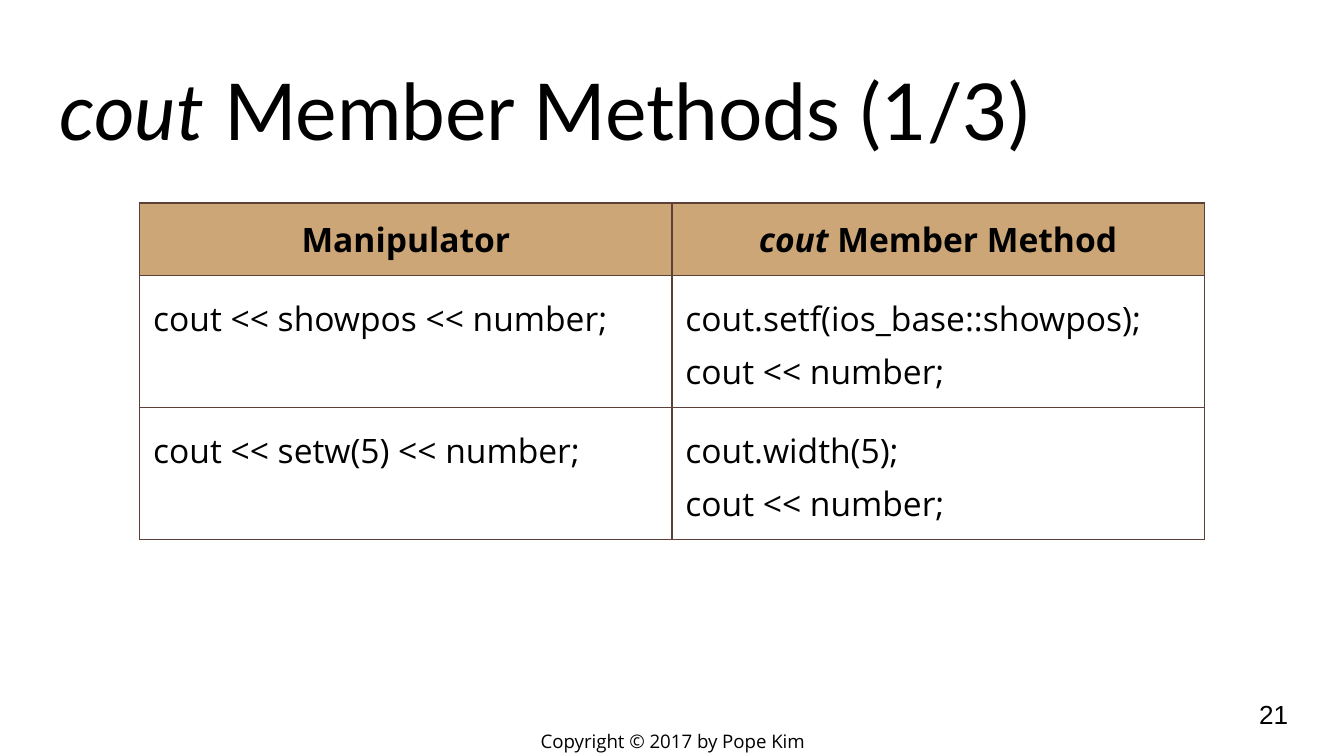
from lxml.etree import SubElement as Sub
from pptx import Presentation
from pptx.dml.color import RGBColor as Rgb
from pptx.enum.text import MSO_ANCHOR as Anchor, MSO_AUTO_SIZE as Fit, PP_ALIGN as Align
from pptx.oxml.ns import qn
from pptx.util import Inches, Pt

HUES = {"ink": "000000", "head": "CCA677", "edge": "5D4037"}
WIDE = 10
HIGH = WIDE * 9 / 16
PAD = Inches(0.1)
LEAD = "cout"
HEAD = ["Manipulator", " Member Method"]
ROWS = [
    ["cout << showpos << number;", "cout.setf(ios_base::showpos);\ncout << number;"],
    ["cout << setw(5) << number;", "cout.width(5);\ncout << number;"],
]


def pad(box):
    box.margin_left = box.margin_right = PAD
    box.margin_top = box.margin_bottom = PAD


def write(frame, text, font, size, align=Align.LEFT, lead="", bold=False, space=1.0):
    frame.text = lead or text
    if lead:
        frame.paragraphs[0].add_run().text = text
    for para in frame.paragraphs:
        para.alignment = align
        para.line_spacing = space
        for run in para.runs:
            face = run.font
            face.name, face.size, face.bold = font, Pt(size), bold
            face.italic = bool(lead) and run.text == lead
            face.color.rgb = Rgb.from_string(HUES["ink"])


def place(shape, left, top, width, height, anchor=Anchor.MIDDLE):
    shape.left, shape.top = Inches(left), Inches(top)
    shape.width, shape.height = Inches(width), Inches(height)
    frame = shape.text_frame
    frame.word_wrap = True
    frame.auto_size = Fit.NONE
    frame.vertical_anchor = anchor
    pad(frame)
    return frame


def label(slide, spot, text, font, size, align=Align.LEFT):
    shape = slide.shapes.add_textbox(0, 0, 0, 0)
    write(place(shape, *spot), text, font, size, align)


def edge(cell):
    props = cell._tc.get_or_add_tcPr()
    for spot, side in enumerate(("lnL", "lnR", "lnT", "lnB")):
        line = props.makeelement(qn(f"a:{side}"), {"w": str(Pt(0.75))})
        fill = Sub(line, qn("a:solidFill"))
        Sub(fill, qn("a:srgbClr"), val=HUES["edge"])
        props.insert(spot, line)


def grid(slide, left, top, width, highs):
    count = len(HEAD)
    shape = slide.shapes.add_table(
        len(highs), count, Inches(left), Inches(top),
        Inches(width), Inches(sum(highs)))
    table = shape.table
    table.horz_banding = False
    for row, high in zip(table.rows, highs):
        row.height = Inches(high)
    for y, texts in enumerate([HEAD] + ROWS):
        for x, text in enumerate(texts):
            cell = table.cell(y, x)
            pad(cell)
            cell.vertical_anchor = Anchor.TOP
            if y == 0:
                cell.fill.solid()
                cell.fill.fore_color.rgb = Rgb.from_string(HUES["head"])
                write(cell.text_frame, text, "Open Sans", 18, Align.CENTER,
                      lead=LEAD if x else "", bold=True)
            else:
                cell.fill.background()
                write(cell.text_frame, text, "Open Sans", 18, space=1.15)
            edge(cell)


def main():
    deck = Presentation()
    deck.slide_width, deck.slide_height = Inches(WIDE), Inches(HIGH)
    slide = deck.slides.add_slide(deck.slide_layouts[5])
    title = place(slide.shapes.title, 0.34, 0.35, WIDE - 2 * 0.34, 0.91, Anchor.BOTTOM)
    write(title, " Member Methods (1/3)", "Lato", 42, lead=LEAD)
    grid(slide, 1.04, 1.51, WIDE - 2 * 1.04, [0.54, 0.98, 0.98])
    label(slide, (3.77, 5.41, 2.47, 0.21), "Copyright © 2017 by Pope Kim",
          "Open Sans", 10, Align.CENTER)
    label(slide, (9.27, 5.1, 0.6, 0.43), "21", "Arial", 14)
    deck.save("out.pptx")


if __name__ == "__main__":
    main()
